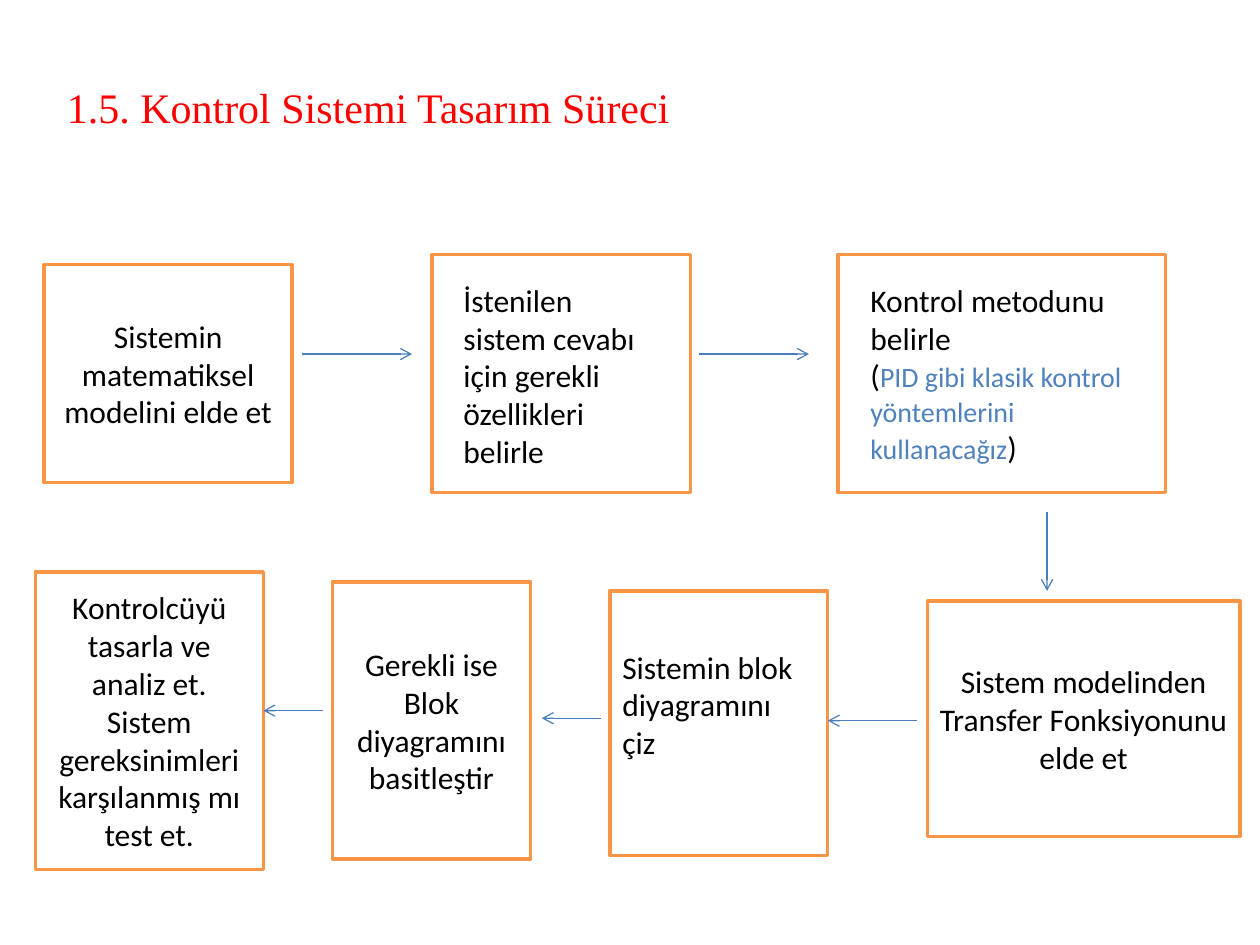
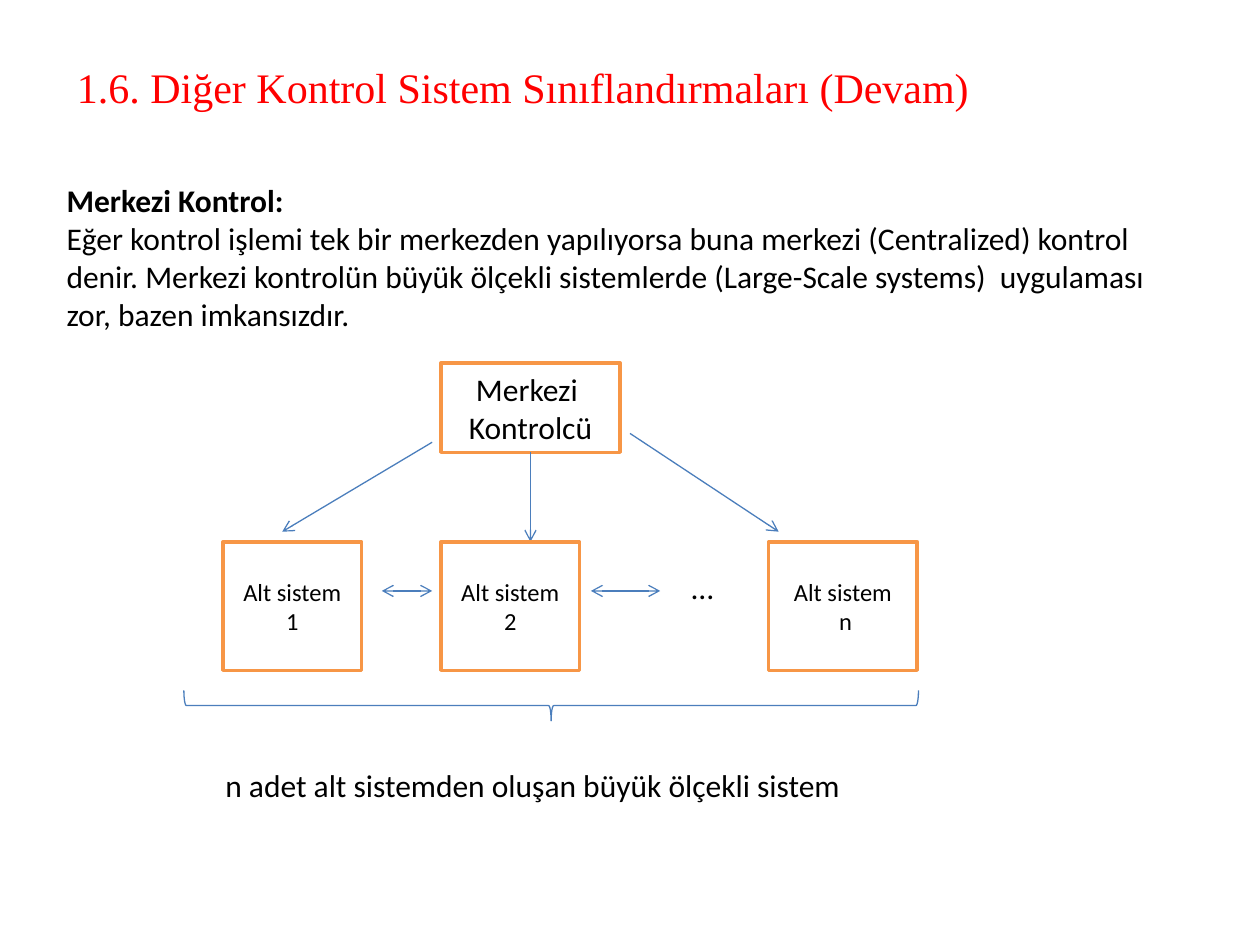
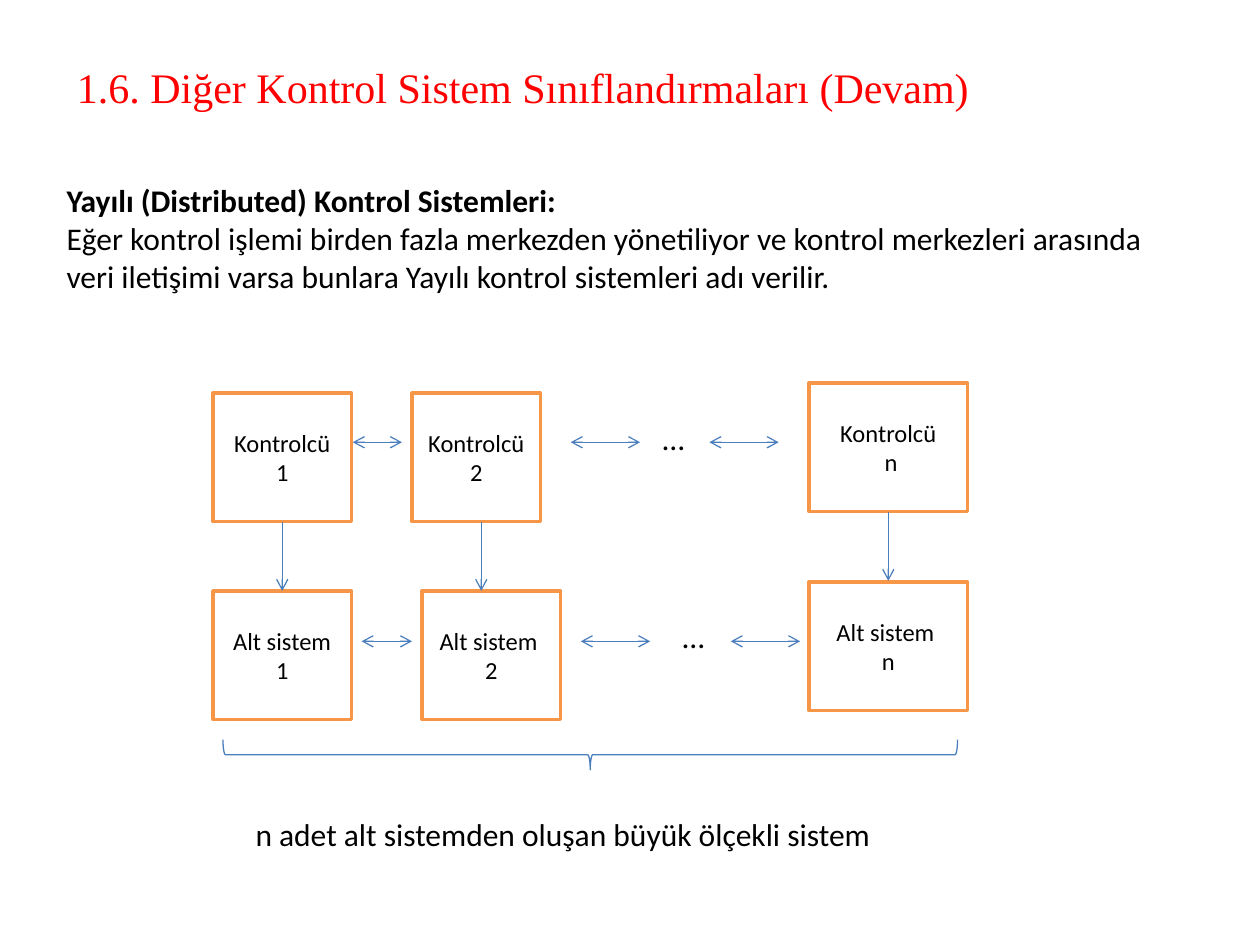
from lxml import etree
from pptx import Presentation
from pptx.dml.color import RGBColor
from pptx.enum.shapes import MSO_CONNECTOR, MSO_SHAPE
from pptx.enum.text import MSO_ANCHOR, MSO_AUTO_SIZE, PP_ALIGN
from pptx.oxml.ns import qn
from pptx.util import Inches, Pt

RECT, BRACE = MSO_SHAPE.RECTANGLE, MSO_SHAPE.LEFT_BRACE
LINE = MSO_CONNECTOR.STRAIGHT
TOP, MID = MSO_ANCHOR.TOP, MSO_ANCHOR.MIDDLE
LEFT, MIDDLE = PP_ALIGN.LEFT, PP_ALIGN.CENTER
FIXED = MSO_AUTO_SIZE.NONE
BODY, SERIF = "Calibri", "Times New Roman"
BLACK, WHITE, RED = "000000", "FFFFFF", "FF0000"
ORANGE, STEEL, BLUE = "F79646", "4B7EBC", "4F81BD"
TITLE = "1.6. Diğer Kontrol Sistem Sınıflandırmaları (Devam)"
CAPTION = "n adet alt sistemden oluşan büyük ölçekli sistem"


def paint(target, code):
    target.rgb = RGBColor.from_string(code)


def inch(*values):
    return [Inches(value) for value in values]


def write(frame, paras, size=18, font=BODY, color=BLACK, bold=False,
          align=LEFT, anchor=TOP, wrap=True):
    frame.word_wrap = wrap
    frame.auto_size = FIXED
    frame.vertical_anchor = anchor
    for num, runs in enumerate(paras):
        para = frame.add_paragraph() if num else frame.paragraphs[0]
        para.alignment = align
        for part in [(runs, {})] if isinstance(runs, str) else runs:
            words, extra = part
            run = para.add_run()
            run.text = words
            run.font.name = font
            run.font.size = Pt(extra.get("size", size))
            run.font.bold = extra.get("bold", bold)
            paint(run.font.color, extra.get("color", color))


def label(slide, box, paras, **style):
    write(slide.shapes.add_textbox(*inch(*box)).text_frame, paras, **style)


def card(slide, box, paras=(), size=18):
    shape = slide.shapes.add_shape(RECT, *inch(*box))
    shape.shadow.inherit = False
    shape.fill.solid()
    paint(shape.fill.fore_color, WHITE)
    paint(shape.line.color, ORANGE)
    shape.line.width = Pt(2)
    if paras:
        write(shape.text_frame, paras, size=size, align=MIDDLE, anchor=MID)


def arrow(slide, x1, y1, x2, y2, both=False):
    link = slide.shapes.add_connector(LINE, *inch(x1, y1, x2, y2))
    paint(link.line.color, STEEL)
    link.line.width = Pt(0.75)
    props = link.line._get_or_add_ln()
    for end in ("a:headEnd", "a:tailEnd") if both else ("a:tailEnd",):
        etree.SubElement(props, qn(end), type="arrow")
    etree.SubElement(link._element.spPr, qn("a:effectLst"))


def page(deck, title, box):
    slide = deck.slides.add_slide(deck.slide_layouts[5])
    head = slide.shapes.title
    head.left, head.top, head.width, head.height = inch(*box)
    write(head.text_frame, [title], size=24, font=SERIF, color=RED, wrap=False)
    return slide


def topic(deck, name, words, height):
    slide = page(deck, TITLE, (0.51, 0.44, 7.6, 0.5))
    label(slide, (0.43, 1.39, 9.13, height), [[(name, {"bold": True})], words])
    return slide


def step(slide, box, paras, inset=None):
    if inset:
        x, y = box[:2]
        dx, dy, wide, high = inset
        card(slide, box)
        label(slide, (x + dx, y + dy, wide, high), paras)
    else:
        card(slide, box, paras)


def row(slide, x, y, cards, spans, dots, drop=0.39):
    for dx, dy, wide, paras in cards:
        card(slide, (x + dx, y + dy, wide, 1.02), paras, size=14)
    for start, end in spans:
        arrow(slide, x + start, y + drop, x + end, y + drop, both=True)
    label(slide, (x + dots, y + 0.16, 0.38, 0.4), ["…"], wrap=False)


def total(slide, x, y, indent):
    wide, high = 5.83, 0.24
    left, top = x + (wide - high) / 2, y + (high - wide) / 2
    brace = slide.shapes.add_shape(BRACE, *inch(left, top, high, wide))
    brace.rotation = 270
    brace.shadow.inherit = False
    brace.fill.background()
    paint(brace.line.color, STEEL)
    brace.line.width = Pt(0.75)
    label(slide, (x + indent, y + 0.55, 5.14, 0.4), [CAPTION], wrap=False)


def process(deck):
    slide = page(deck, "1.5. Kontrol Sistemi Tasarım Süreci",
                 (0.43, 0.6, 5.03, 0.5))
    note = ("PID gibi klasik kontrol yöntemlerini kullanacağız",
            {"size": 16, "color": BLUE})
    steps = [
        ((0.35, 2.1, 1.97, 1.73), ["Sistemin matematiksel modelini elde et"]),
        ((3.43, 2.02, 2.05, 1.89),
         ["İstenilen sistem cevabı için gerekli özellikleri", "belirle"],
         (0.15, 0.16, 1.65, 1.62)),
        ((6.65, 2.02, 2.6, 1.89),
         ["Kontrol metodunu belirle", [("(", {}), note, (")", {})]],
         (0.16, 0.16, 2.28, 1.58)),
        ((7.36, 4.77, 2.48, 1.87),
         ["Sistem modelinden", "Transfer Fonksiyonunu elde et"]),
        ((4.84, 4.69, 1.73, 2.1), ["Sistemin blok diyagramını çiz"],
         (0, 0.4, 1.65, 1.01)),
        ((2.64, 4.62, 1.57, 2.2), ["Gerekli ise Blok diyagramını basitleştir"]),
        ((0.28, 4.54, 1.81, 2.36),
         ["Kontrolcüyü tasarla ve analiz et. Sistem gereksinimleri "
          "karşılanmış mı test et."]),
    ]
    for item in steps:
        step(slide, *item)
    for ends in [(2.4, 2.81, 3.27, 2.81), (5.55, 2.81, 6.42, 2.81),
                 (8.31, 4.06, 8.31, 4.69), (7.28, 5.72, 6.57, 5.72),
                 (4.77, 5.7, 4.3, 5.7), (2.56, 5.64, 2.09, 5.64)]:
        arrow(slide, *ends)


def central(deck):
    slide = topic(
        deck, "Merkezi Kontrol:",
        "Eğer kontrol işlemi tek bir merkezden yapılıyorsa buna merkezi "
        "(Centralized) kontrol denir. Merkezi kontrolün büyük ölçekli "
        "sistemlerde (Large-Scale systems)  uygulaması zor, bazen "
        "imkansızdır.", 1.31)
    card(slide, (3.5, 2.88, 1.42, 0.71), ["Merkezi ", "Kontrolcü"])
    for ends in [(4.21, 3.59, 4.21, 4.3), (3.43, 3.51, 2.24, 4.22),
                 (5, 3.44, 6.18, 4.22)]:
        arrow(slide, *ends)
    row(slide, 1.77, 4.3,
        [(0, 0, 1.1, ["Alt sistem 1"]), (1.73, 0, 1.1, ["Alt sistem 2"]),
         (4.33, 0, 1.18, ["Alt sistem", " n"])],
        [(1.26, 1.66), (2.92, 3.47)], 3.62)
    total(slide, 1.46, 5.48, 0.23)


def spread(deck):
    slide = topic(
        deck, "Yayılı (Distributed) Kontrol Sistemleri:",
        "Eğer kontrol işlemi birden fazla merkezden yönetiliyor ve kontrol "
        "merkezleri arasında veri iletişimi varsa bunlara Yayılı kontrol "
        "sistemleri adı verilir.", 1.01)
    row(slide, 1.69, 3.12,
        [(0, 0, 1.1, ["Kontrolcü 1"]), (1.58, 0, 1.02, ["Kontrolcü 2"]),
         (4.73, -0.08, 1.26, ["Kontrolcü", " n"])],
        [(1.11, 1.5), (2.84, 3.39), (3.94, 4.49)], 3.47)
    row(slide, 1.69, 4.69,
        [(0, 0, 1.1, ["Alt sistem 1"]), (1.66, 0, 1.1, ["Alt sistem ", "2"]),
         (4.73, -0.07, 1.26, ["Alt sistem ", "n"])],
        [(1.18, 1.58), (2.92, 3.47), (4.11, 4.66)], 3.63, drop=0.4)
    for x, y in [(2.24, 4.14), (3.82, 4.14), (7.05, 4.06)]:
        arrow(slide, x, y, x, y + 0.55)
    total(slide, 1.77, 5.87, 0.16)


def main():
    deck = Presentation()
    deck.slide_width, deck.slide_height = inch(10, 7.5)
    process(deck)
    central(deck)
    spread(deck)
    deck.save("out.pptx")


if __name__ == "__main__":
    main()
